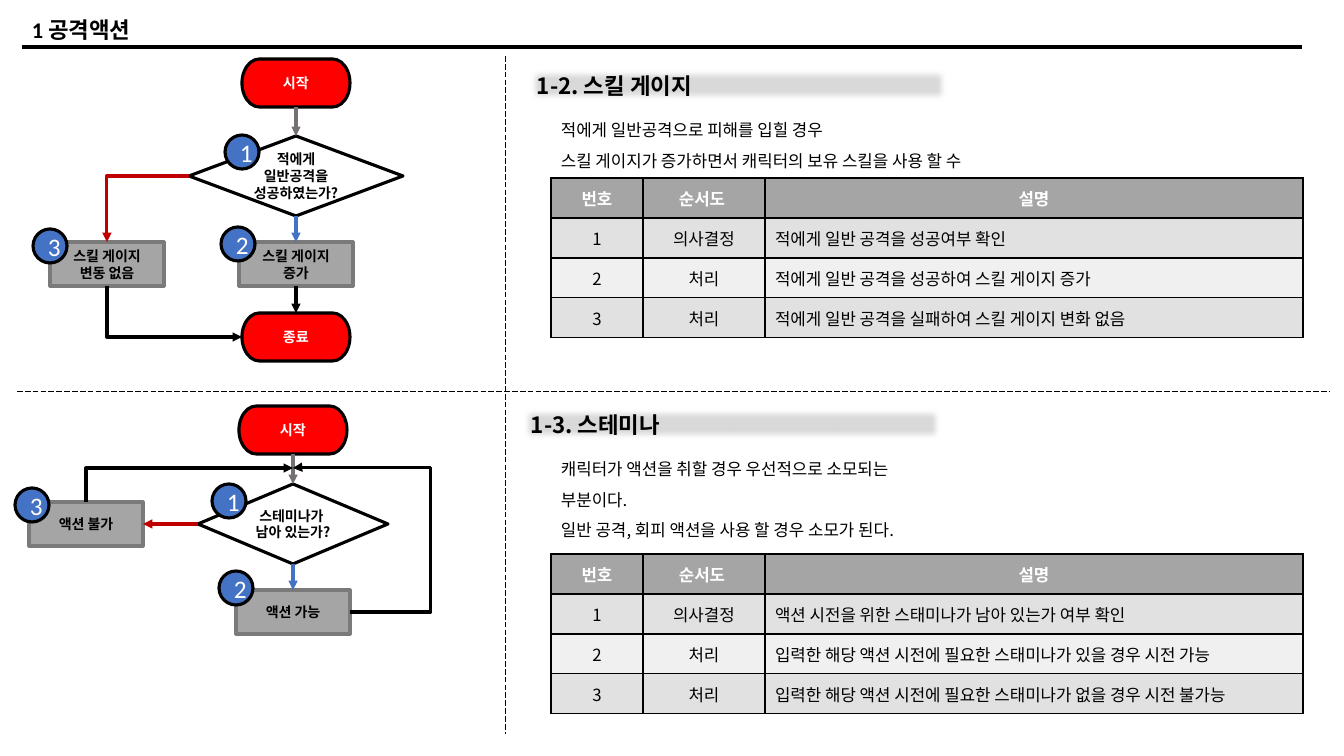
from lxml import etree
from pptx import Presentation
from pptx.dml.color import RGBColor
from pptx.enum.dml import MSO_LINE
from pptx.enum.shapes import MSO_CONNECTOR as CONN, MSO_SHAPE as SHAPE
from pptx.enum.text import MSO_ANCHOR as ANCHOR, MSO_AUTO_SIZE as AUTO, PP_ALIGN as ALIGN
from pptx.oxml.ns import qn
from pptx.util import Pt

PX = 914400 / 100.8
KR = "Noto Sans CJK KR"
TERMINATOR = (SHAPE.FLOWCHART_TERMINATOR, "FF0000", "000000", "FFFFFF", 10.1)
DECISION = (SHAPE.FLOWCHART_DECISION, None, "000000", "000000", 10)
PROCESS = (SHAPE.RECTANGLE, "A5A5A5", "7A7A7A", "000000", 10)
HEADER = ("번호", "순서도 ", "설명")


def px(*lengths):
    """Turn pixel lengths into EMU."""
    return [round(n * PX) for n in lengths]


def rgb(color):
    """Return the colour of a hex string."""
    return RGBColor.from_string(color)


def write(tf, lines, size, color="000000", bold=False, align=ALIGN.LEFT, font=KR, spacing=None):
    """Fill a text frame with one paragraph per line."""
    for i, line in enumerate(lines):
        p = tf.add_paragraph() if i else tf.paragraphs[0]
        p.text = line
        p.alignment = align
        p.line_spacing = spacing
        p.font.name, p.font.size, p.font.bold = font, Pt(size), bold
        p.font.color.rgb = rgb(color)


def text_box(s, box, lines, size, wrap=True, **style):
    """Add a text box that grows with its text."""
    tf = s.shapes.add_textbox(*px(*box)).text_frame
    tf.word_wrap = wrap
    tf.auto_size = AUTO.SHAPE_TO_FIT_TEXT
    write(tf, lines, size, **style)


def node(s, kind, box, lines, font=KR):
    """Add a flowchart node of the given kind."""
    preset, fill, line, color, size = kind
    sp = s.shapes.add_shape(preset, *px(*box))
    sp.shadow.inherit = False
    if fill:
        sp.fill.solid()
        sp.fill.fore_color.rgb = rgb(fill)
    else:
        sp.fill.background()
    sp.line.color.rgb = rgb(line)
    sp.line.width = Pt(2.25)
    sp.text_frame.word_wrap = True
    sp.text_frame.vertical_anchor = ANCHOR.MIDDLE
    write(sp.text_frame, lines, size, color, font == KR, ALIGN.CENTER, font)
    return sp


def badge(s, x, y, number):
    """Add a round number badge."""
    kind = (SHAPE.OVAL, "4472C4", "000000", "FFFFFF", 18)
    node(s, kind, (x, y, 34, 34), [str(number)], "Calibri")


def connector(s, begin, end, color="000000", width=2.25, arrow=True, kind=CONN.STRAIGHT):
    """Add a line, with an arrowhead at its end if asked."""
    c = s.shapes.add_connector(kind, *px(*begin, *end))
    c.line.color.rgb = rgb(color)
    c.line.width = Pt(width)
    if arrow:
        etree.SubElement(c.line._get_or_add_ln(), qn("a:tailEnd"), type="triangle")
    etree.SubElement(c.element.spPr, qn("a:effectLst"))
    return c


def link(s, start, side, target, target_side, color="000000"):
    """Join two nodes with a straight arrow."""
    c = connector(s, (0, 0), (1, 1), color)
    c.begin_connect(start, side)
    c.end_connect(target, target_side)


def elbow(s, begin, end, color="000000", upright=False, preset="bentConnector2", adjust=()):
    """Add a bent arrow, leaving vertically if upright."""
    c = connector(s, begin, end, color, kind=CONN.ELBOW)
    geom = c.element.spPr.find(qn("a:prstGeom"))
    geom.set("prst", preset)
    guides = geom.find(qn("a:avLst"))
    for i, value in enumerate(adjust, 1):
        etree.SubElement(guides, qn("a:gd"), name=f"adj{i}", fmla=f"val {value}")
    if upright:
        shift = (c.width - c.height) // 2
        c.left, c.top = c.left + shift, c.top - shift
        c.width, c.height = c.height, c.width
        xfrm = c.element.spPr.find(qn("a:xfrm"))
        xfrm.set("rot", str(270 * 60000))
        xfrm.set("flipH", str(int(end[1] > begin[1])))
        xfrm.set("flipV", "0")


def skill_flow(s, x, y):
    """Draw the skill gauge flowchart."""
    start = node(s, TERMINATOR, (x + 209, y, 108, 48), ["시작"])
    check = node(s, DECISION, (x + 156, y + 77, 214, 80), ["적에게 일반공격을 성공하였는가?"])
    gain = node(s, PROCESS, (x + 206, y + 183, 114, 44), ["스킬 게이지 증가"])
    node(s, PROCESS, (x + 17, y + 183, 114, 44), ["스킬 게이지", "변동 없음"])
    finish = node(s, TERMINATOR, (x + 209, y + 254, 108, 48), ["종료"])
    link(s, start, 2, check, 0, "767171")
    link(s, check, 2, gain, 0, "4472C4")
    link(s, gain, 2, finish, 0)
    elbow(s, (x + 156, y + 117), (x + 74, y + 183), "C00000")
    elbow(s, (x + 74, y + 227), (x + 209, y + 278), upright=True)
    for i, (dx, dy) in enumerate([(192, 76), (188, 168), (0, 170)], 1):
        badge(s, x + dx, y + dy, i)


def stamina_flow(s, x, y):
    """Draw the stamina flowchart."""
    start = node(s, TERMINATOR, (x + 224, y, 108, 48), ["시작"])
    check = node(s, DECISION, (x + 183, y + 78, 190, 80), ["스테미나가 ", "남아 있는가?"])
    allowed = node(s, PROCESS, (x + 221, y + 184, 114, 44), ["액션 가능"])
    denied = node(s, PROCESS, (x + 14, y + 96, 114, 44), ["액션 불가"])
    link(s, start, 2, check, 0, "767171")
    link(s, check, 2, allowed, 0, "4472C4")
    link(s, check, 1, denied, 3, "C00000")
    merge = (x + 278, y + 62)
    elbow(s, (x + 335, y + 206), merge, preset="bentConnector4", adjust=(-141800, 100500))
    elbow(s, (x + 71, y + 96), merge, upright=True)
    for i, (dx, dy) in enumerate([(197, 78), (204, 165), (0, 82)], 1):
        badge(s, x + dx, y + dy, i)


def heading(s, x, y, text):
    """Add a heading on a soft grey band."""
    sp = s.shapes.add_shape(SHAPE.RECTANGLE, *px(x, y, 423, 37))
    sp.shadow.inherit = False
    etree.SubElement(sp.element.spPr.find(qn("a:effectLst")), qn("a:softEdge"), rad="63500")
    sp.fill.solid()
    sp.fill.fore_color.rgb = rgb("D9D9D9")
    sp.line.fill.background()
    sp.text_frame.vertical_anchor = ANCHOR.TOP
    sp.text_frame.auto_size = AUTO.SHAPE_TO_FIT_TEXT
    write(sp.text_frame, [text], 16, bold=True)


def border(cell):
    """Draw black borders around a table cell."""
    tcPr = cell._tc.get_or_add_tcPr()
    for i, side in enumerate(("lnL", "lnR", "lnT", "lnB")):
        ln = etree.Element(qn(f"a:{side}"), w=str(Pt(1)))
        fill = etree.SubElement(ln, qn("a:solidFill"))
        etree.SubElement(fill, qn("a:srgbClr"), val="000000")
        tcPr.insert(i, ln)


def step_table(s, x, y, w, steps):
    """Add the table that explains the numbered steps."""
    rows = [HEADER] + [(str(i), *step) for i, step in enumerate(steps, 1)]
    table = s.shapes.add_table(len(rows), 3, *px(x, y, w, 40 * len(rows))).table
    for col, width in zip(table.columns, px(92, 122, w - 214)):
        col.width = width
    for i, row in enumerate(rows):
        table.rows[i].height = px(40)[0]
        for j, text in enumerate(row):
            cell = table.cell(i, j)
            cell.fill.solid()
            cell.fill.fore_color.rgb = rgb("A5A5A5" if i == 0 else "E1E1E1" if i % 2 else "F0F0F0")
            cell.vertical_anchor = ANCHOR.MIDDLE
            align = ALIGN.LEFT if i and j == 2 else ALIGN.CENTER
            write(cell.text_frame, [text], 12, "000000" if i else "FFFFFF", i == 0, align)
            border(cell)


def panel(s, box, outdent, title, body_width, body, steps):
    """Place heading, description and, at the bottom, the step table."""
    x, y, w, h = box
    heading(s, x - outdent, y, title)
    text_box(s, (x, y + 38, body_width, h - 198), body, 12, spacing=1.5)
    step_table(s, x, y + h - 160, w, steps)


def frame(s):
    """Add the page title, its rule and the dashed dividers."""
    text_box(s, (22, 11, 127, 37), ["1 공격액션"], 16, wrap=False, bold=True, font="Calibri")
    connector(s, (22, 47), (1302, 47), width=3, arrow=False)
    for begin, end in [((505, 56), (505, 734)), ((17, 391), (1330, 391))]:
        connector(s, begin, end, width=0.5, arrow=False).line.dash_style = MSO_LINE.LONG_DASH


def main():
    """Build the slide and save it."""
    prs = Presentation()
    prs.slide_width, prs.slide_height = px(1344, 756)
    s = prs.slides.add_slide(prs.slide_layouts[6])
    frame(s)
    skill_flow(s, 33, 59)
    stamina_flow(s, 15, 406)
    panel(s, (551, 67, 752, 271), 24, "1-2. 스킬 게이지", 442,
          ["적에게 일반공격으로 피해를 입힐 경우",
           "스킬 게이지가 증가하면서 캐릭터의 보유 스킬을 사용 할 수"],
          [("의사결정", "적에게 일반 공격을 성공여부 확인"),
           ("처리", "적에게 일반 공격을 성공하여 스킬 게이지 증가"),
           ("처리", "적에게 일반 공격을 실패하여 스킬 게이지 변화 없음")])
    panel(s, (551, 406, 752, 308), 30, "1-3. 스테미나", 398,
          ["캐릭터가 액션을 취할 경우 우선적으로 소모되는 부분이다.",
           "일반 공격, 회피 액션을 사용 할 경우 소모가 된다."],
          [("의사결정", "액션 시전을 위한 스태미나가 남아 있는가 여부 확인"),
           ("처리", "입력한 해당 액션 시전에 필요한 스태미나가 있을 경우 시전 가능"),
           ("처리", "입력한 해당 액션 시전에 필요한 스태미나가 없을 경우 시전 불가능")])
    prs.save("out.pptx")


if __name__ == "__main__":
    main()
